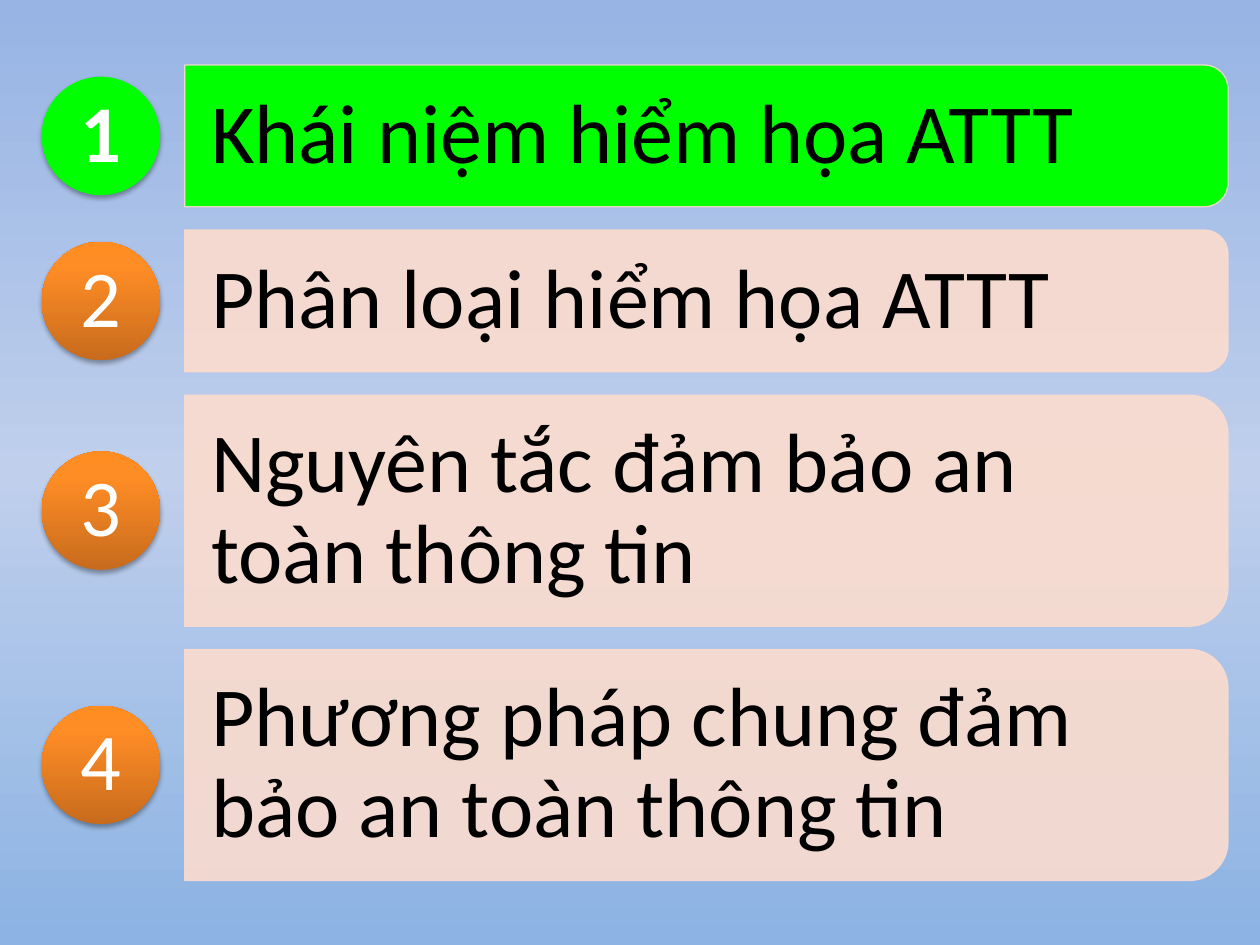
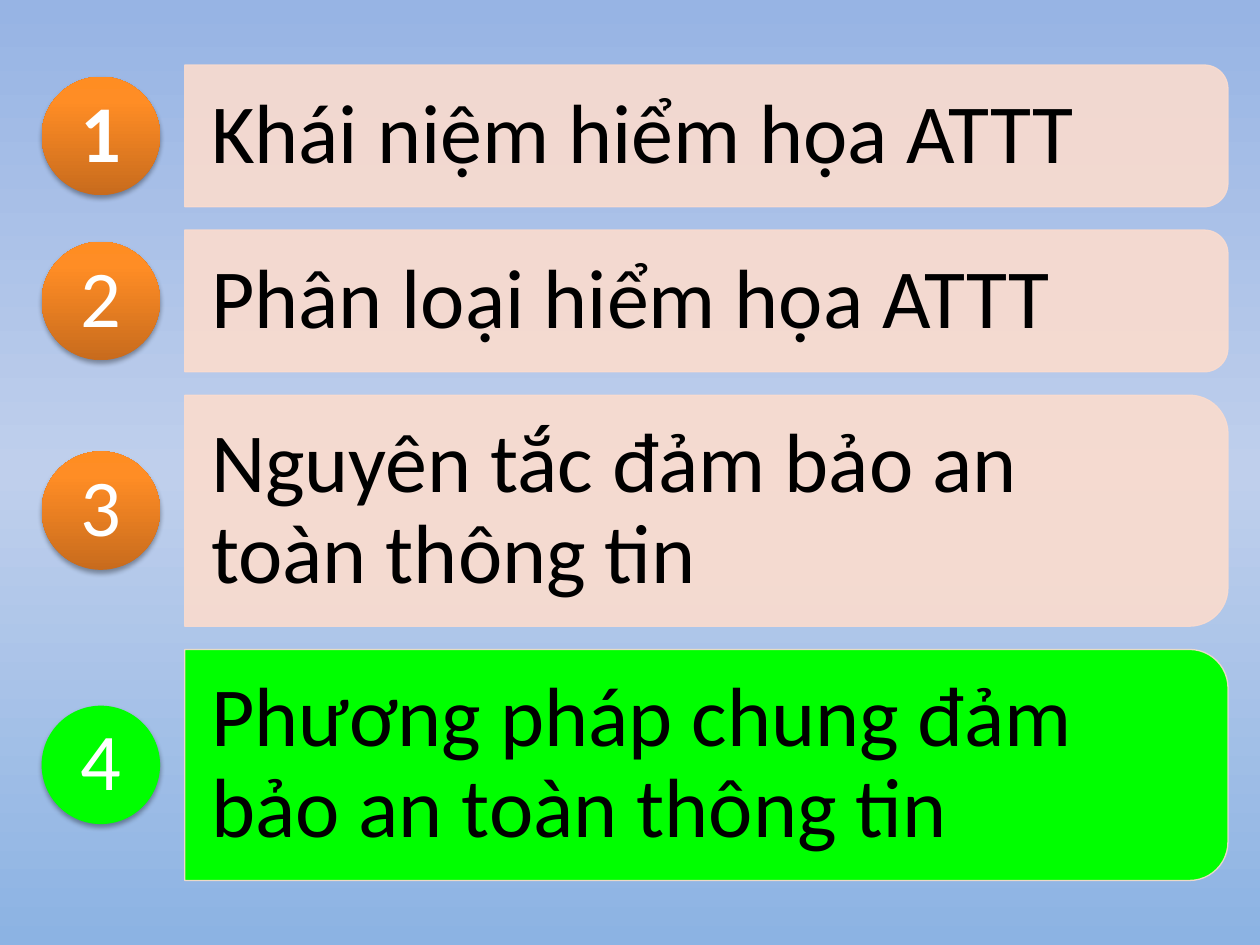
from dataclasses import dataclass

from pptx import Presentation
from pptx.dml.color import RGBColor
from pptx.enum import shapes, text
from pptx.oxml.xmlchemy import OxmlElement
from pptx.util import Pt


@dataclass(frozen=True)
class Theme:
    font: str = "Calibri"
    ink: str = "000000"
    white: str = "FFFFFF"
    active: str = "00FF00"
    bar: str = "FBDCCE"
    sky: tuple = ((0, "97B4E4"), (50, "BFCFEC"), (100, "8CB3E3"))
    orange: tuple = ((0, "C86B1D"), (80, "FF8D25"), (100, "FF8D22"))
    label: int = 48
    number: int = 46


THEME = Theme()
TOPICS = (
    ("Khái niệm hiểm họa ATTT", 81),
    ("Phân loại hiểm họa ATTT", 81),
    ("Nguyên tắc đảm bảo an toàn thông tin", 132),
    ("Phương pháp chung đảm bảo an toàn thông tin", 132),
)
AGENDA = (23.8, 37.2, 677.9)  # left, top, width
GAP = 13.3
DISC = 67.7
INDENT = 81.8
ROUND = 0.167
CORNER = ROUND * 0.293  # share of the bar height lost to its rounded corner


def child(parent, tag, **attrs):
    node = OxmlElement(tag)
    for key, value in attrs.items():
        node.set(key, str(value))
    parent.append(node)
    return node


def solid(fill, color, alpha=100):
    fill.solid()
    fill.fore_color.rgb = RGBColor.from_string(color)
    if alpha < 100:
        for node in fill._xPr.xpath("./a:solidFill/a:srgbClr"):
            child(node, "a:alpha", val=alpha * 1000)


def blend(fill, root, stops, angle):
    """Fill with a gradient of any number of stops."""
    fill.gradient()
    fill.gradient_angle = angle
    ramp = root.xpath(".//a:gsLst")[0]
    for node in list(ramp):
        ramp.remove(node)
    for place, color in stops:
        stop = child(ramp, "a:gs", pos=place * 1000)
        child(stop, "a:srgbClr", val=color)


def cast(shape):
    """Add a soft shadow below the shape."""
    shape.shadow.inherit = False
    effects = shape.element.xpath("./p:spPr/a:effectLst")[0]
    shade = child(effects, "a:outerShdw", blurRad=Pt(3.1), dist=Pt(1.8),
                  dir=90 * 60000, rotWithShape=0)
    color = child(shade, "a:srgbClr", val="000000")
    child(color, "a:alpha", val=35000)


def write(shape, words, size, color, align, pad=(0, 0), bold=False):
    frame = shape.text_frame
    across, down = map(Pt, pad)
    style = dict(word_wrap=True, vertical_anchor=text.MSO_ANCHOR.MIDDLE,
                 margin_left=across, margin_right=across,
                 margin_top=down, margin_bottom=down)
    for key, value in style.items():
        setattr(frame, key, value)
    para = frame.paragraphs[0]
    para.alignment = align
    para.line_spacing = 0.9
    run = para.add_run()
    run.text = words
    for key, value in dict(name=THEME.font, size=Pt(size), bold=bold).items():
        setattr(run.font, key, value)
    run.font.color.rgb = RGBColor.from_string(color)


def draw_bar(slide, box, words, active):
    left, top, width, height = box
    shift = (width - height) / 2
    # The preset rounds its top corners, so a quarter turn puts them at the right.
    bar = slide.shapes.add_shape(
        shapes.MSO_SHAPE.ROUND_2_SAME_RECTANGLE,
        *map(Pt, (left + shift, top - shift, height, width)))
    bar.rotation = 90
    bar.adjustments[0] = ROUND
    bar.adjustments[1] = 0
    bar.shadow.inherit = False
    solid(bar.fill, THEME.active if active else THEME.bar, 100 if active else 90)
    solid(bar.line.fill, THEME.bar, 90)
    bar.line.width = Pt(0.75)

    inset = CORNER * height
    label = slide.shapes.add_textbox(
        *map(Pt, (left, top + inset, width - inset, height - 2 * inset)))
    write(label, words, THEME.label, THEME.ink, text.PP_ALIGN.LEFT, (15, 9.6))


def draw_disc(slide, left, middle, number, active):
    disc = slide.shapes.add_shape(
        shapes.MSO_SHAPE.OVAL, *map(Pt, (left, middle - DISC / 2, DISC, DISC)))
    if active:
        solid(disc.fill, THEME.active)
    else:
        blend(disc.fill, disc.element, THEME.orange, 90)
    disc.line.fill.background()
    cast(disc)
    write(disc, str(number), THEME.number, THEME.white, text.PP_ALIGN.CENTER,
          bold=number == 1)


def draw_agenda(slide, box, current):
    left, top, width = box
    for number, (words, height) in enumerate(TOPICS, 1):
        active = number == current
        draw_bar(slide, (left + INDENT, top, width - INDENT, height), words, active)
        draw_disc(slide, left, top + height / 2, number, active)
        top += height + GAP


def main():
    deck = Presentation()
    deck.slide_width, deck.slide_height = Pt(720), Pt(540)
    master = deck.slide_master
    blend(master.background.fill, master.element, THEME.sky, 270)
    blank = deck.slide_layouts[6]
    for current in (1, 4):
        draw_agenda(deck.slides.add_slide(blank), AGENDA, current)
    deck.save("out.pptx")


if __name__ == "__main__":
    main()
